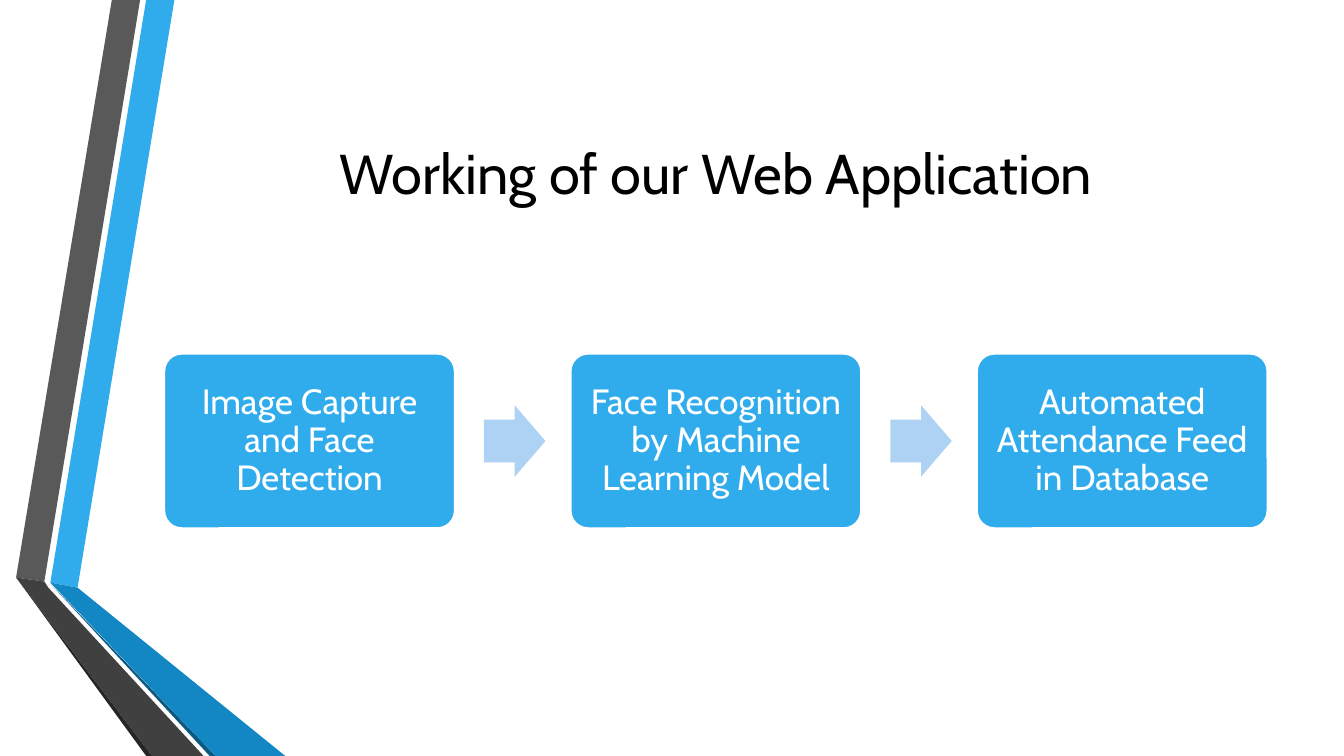
"""Builds a slide that shows the three working steps of a web application."""
from dataclasses import dataclass

from pptx import Presentation
from pptx import util as u
from pptx.dml import color
from pptx.enum import shapes, text


@dataclass(frozen=True)
class Theme:
    """Colours, font and type sizes of the slide."""
    font: str = "Cabin"
    title_size: int = 40
    step_size: int = 25
    ink: str = "000000"
    paper: str = "FFFFFF"
    accent: str = "30ACEC"
    arrow: str = "AED2F4"
    blue_fold: str = "1287C3"
    blue_edge: str = "0C5A82"
    gray: str = "595959"
    gray_fold: str = "404040"
    gray_edge: str = "262626"


THEME = Theme()
STEPS = (
    "Image Capture and Face Detection",
    "Face Recognition by Machine Learning Model",
    "Automated Attendance Feed in Database",
)
RIBBONS = (
    (THEME.accent, ((0.5, 5.78), (0.77, 5.83), (1.73, 0), (1.45, 0))),
    (THEME.gray, ((1.39, 0), (1.11, 0), (0.16, 5.73), (0.44, 5.77))),
    (THEME.gray_edge, ((0.16, 5.73), (1.45, 7.5), (1.51, 7.5))),
    (THEME.blue_edge, ((0.5, 5.79), (2.08, 7.5), (2.14, 7.5))),
    (THEME.blue_fold, ((0.5, 5.78), (2.14, 7.5), (2.83, 7.5), (0.77, 5.83))),
    (THEME.gray_fold, ((2.02, 7.5), (0.48, 5.83), (0.44, 5.77), (0.16, 5.73), (1.51, 7.5))),
)


def paint(shape, fill, outline=None):
    """Give a shape a flat fill and an optional outline."""
    shape.shadow.inherit = False
    shape.fill.solid()
    shape.fill.fore_color.rgb = color.RGBColor.from_string(fill)
    if outline:
        shape.line.color.rgb = color.RGBColor.from_string(outline)
        shape.line.width = u.Pt(1.25)
    else:
        shape.line.fill.background()


def write(shape, words, *, size, ink, spacing=None, inset=0.1):
    """Set centred text in a shape."""
    frame = shape.text_frame
    frame.word_wrap = True
    frame.auto_size = text.MSO_AUTO_SIZE.NONE
    frame.vertical_anchor = text.MSO_ANCHOR.MIDDLE
    frame.margin_left = frame.margin_right = u.Inches(inset)
    frame.margin_top = frame.margin_bottom = u.Inches(inset)
    paragraph = frame.paragraphs[0]
    paragraph.alignment = text.PP_ALIGN.CENTER
    paragraph.line_spacing = spacing
    run = paragraph.add_run()
    run.text = words
    run.font.name = THEME.font
    run.font.size = u.Pt(size)
    run.font.color.rgb = color.RGBColor.from_string(ink)


def add_ribbons(slide, left, top):
    """Draw the folded ribbons from the given corner."""
    for fill, corners in RIBBONS:
        start, *rest = [(round(x * 100), round(y * 100)) for x, y in corners]
        outline = slide.shapes.build_freeform(*start, scale=u.Inches(0.01))
        outline.add_line_segments(rest, close=True)
        paint(outline.convert_to_shape(u.Inches(left), u.Inches(top)), fill)


def add_title(slide, left, top, width, height):
    """Place the title in the given box."""
    title = slide.shapes.title
    title.left, title.top = u.Inches(left), u.Inches(top)
    title.width, title.height = u.Inches(width), u.Inches(height)
    write(title, "Working of our Web Application", size=THEME.title_size, ink=THEME.ink)


def add_block(slide, preset, left, top, width, height):
    """Add a preset shape, measured in inches."""
    return slide.shapes.add_shape(
        preset, u.Inches(left), u.Inches(top), u.Inches(width), u.Inches(height))


def add_process(slide, left, top, width, height):
    """Spread the steps over the given box, with an arrow in each gap."""
    card_width, arrow_width, arrow_height = 2.88, 0.61, 0.71
    pitch = (width - card_width) / (len(STEPS) - 1)
    for index, step in enumerate(STEPS):
        card_left = left + index * pitch
        card = add_block(slide, shapes.MSO_SHAPE.ROUNDED_RECTANGLE,
                         card_left, top, card_width, height)
        card.adjustments[0] = 0.1
        paint(card, THEME.accent, THEME.paper)
        write(card, step, size=THEME.step_size, ink=THEME.paper, spacing=0.9)
        if index < len(STEPS) - 1:
            arrow = add_block(slide, shapes.MSO_SHAPE.RIGHT_ARROW,
                              card_left + card_width + 0.29,
                              top + (height - arrow_height) / 2,
                              arrow_width, arrow_height)
            arrow.adjustments[0] = 0.6
            arrow.adjustments[1] = 0.5
            paint(arrow, THEME.arrow)


def main():
    """Build and save the slide."""
    deck = Presentation()
    deck.slide_width, deck.slide_height = u.Inches(13.33), u.Inches(7.5)
    slide = deck.slides.add_slide(deck.slide_layouts[5])
    add_ribbons(slide, 0, 0)
    add_title(slide, 1.62, 0.75, 10.96, 1.92)
    add_process(slide, 1.63, 3.51, 10.94, 1.73)
    deck.save("out.pptx")


if __name__ == "__main__":
    main()
